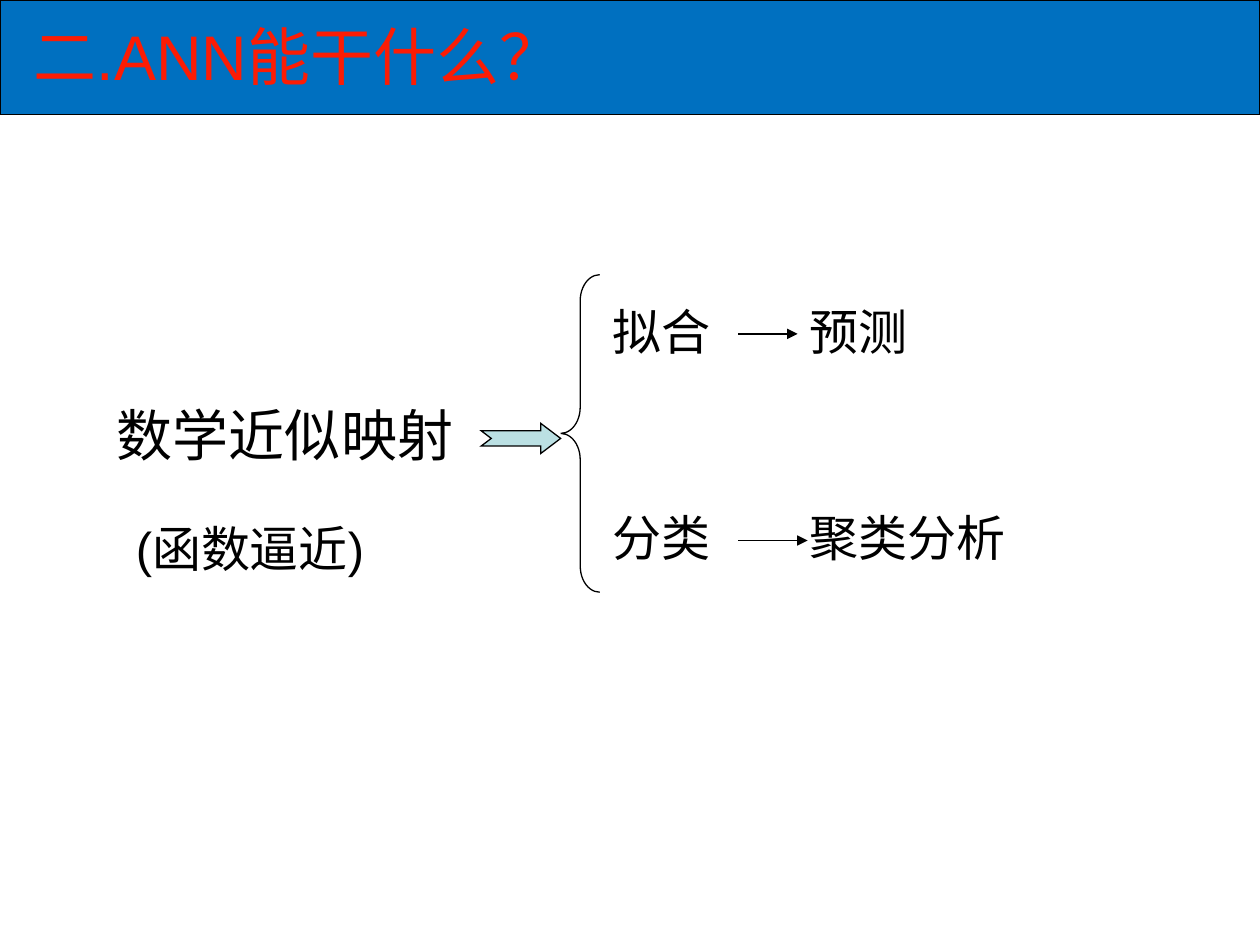
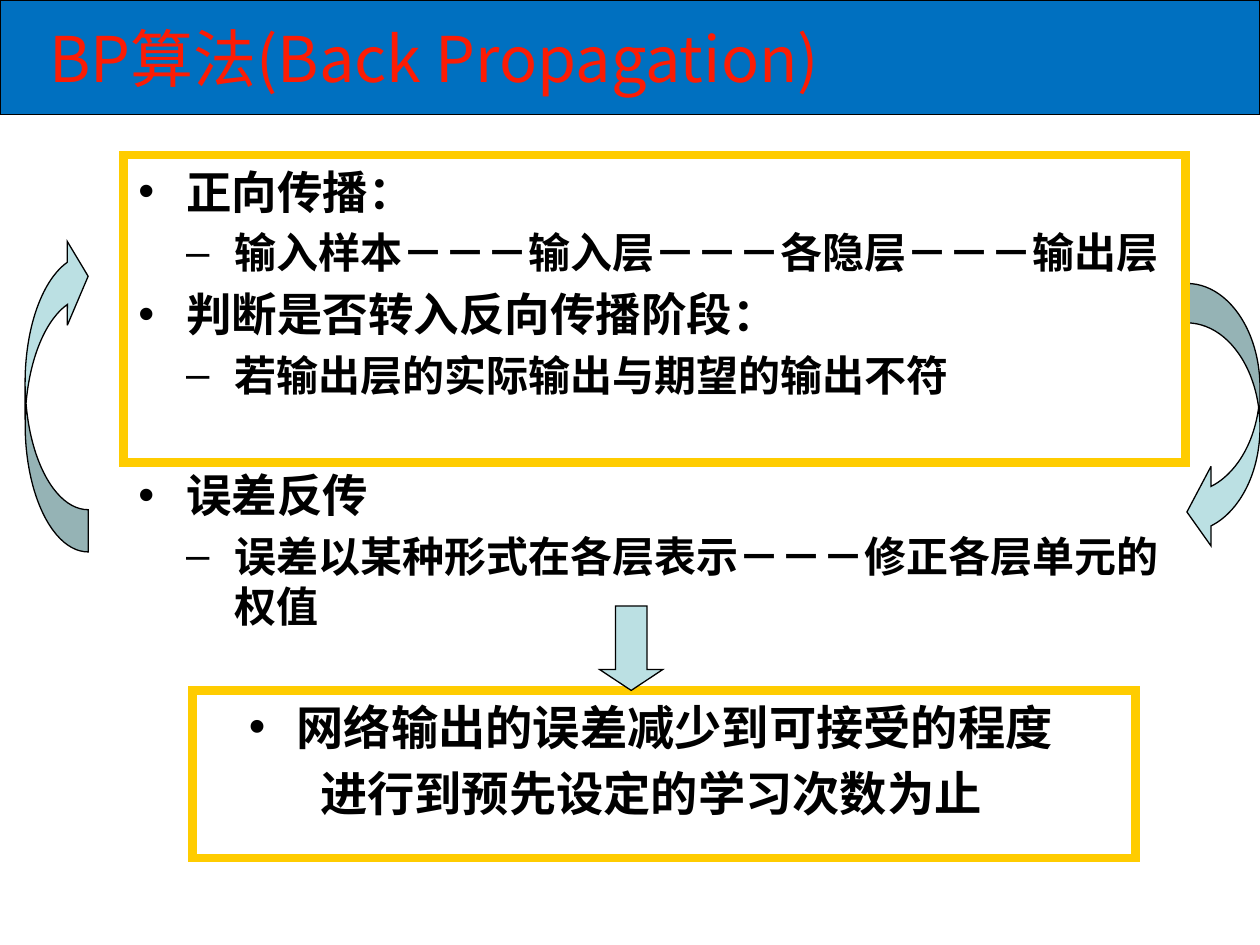
from lxml import etree
from pptx import Presentation, util as u
from pptx.dml.color import RGBColor
from pptx.enum import shapes as es, text as et
from pptx.oxml.ns import qn

COLORS = {"band": "0070C0", "title": "FC1C04", "ink": "000000",
          "arrow": "BBE0E3", "frame": "FFCC00"}
LATIN = "Arial"
CJK = "Noto Sans CJK SC"
INDENT = 0.38
SHAPE = es.MSO_SHAPE


def rgb(name):
    return RGBColor.from_string(COLORS[name])


def box_lengths(box):
    return [u.Inches(length) for length in box]


def add_outline(slide, kind, box, fill=None, line="ink", weight=0.75, adjust=()):
    outline = slide.shapes.add_shape(kind, *box_lengths(box))
    outline.shadow.inherit = False
    if fill:
        outline.fill.solid()
        outline.fill.fore_color.rgb = rgb(fill)
    else:
        outline.fill.background()
    outline.line.color.rgb = rgb(line)
    outline.line.width = u.Pt(weight)
    etree.SubElement(outline.line._get_or_add_ln(), qn("a:miter"), lim="800000")
    for index, value in enumerate(adjust):
        outline.adjustments[index] = value
    return outline


def add_frame(slide, box):
    add_outline(slide, SHAPE.RECTANGLE, box, line="frame", weight=5)


def style(paragraph, size, face, color="ink", bold=False):
    font = paragraph.font
    font.size, font.name, font.bold = u.Pt(size), face, bold
    font.color.rgb = rgb(color)
    defaults = paragraph._p.pPr.find(qn("a:defRPr"))
    etree.SubElement(defaults, qn("a:ea"), typeface=CJK)


def add_text(slide, box, words, size, face=LATIN, color="ink"):
    frame = slide.shapes.add_textbox(*box_lengths(box)).text_frame
    frame.word_wrap = True
    paragraph = frame.paragraphs[0]
    paragraph.text = words
    style(paragraph, size, face, color)
    return frame


def add_title_band(slide, words, box, face):
    add_outline(slide, SHAPE.RECTANGLE, (0, 0, 10, 0.91), fill="band")
    title = add_text(slide, box, words, 36, face, "title")
    title.vertical_anchor = et.MSO_ANCHOR.MIDDLE
    return title.paragraphs[0]


def add_use(slide, left, top, method, purpose, arrow_length):
    add_text(slide, (left, top, 1.1, 0.57), method, 28)
    add_text(slide, (left + 1.57, top, 2.3, 0.57), purpose, 28)
    start, y = u.Inches(left + 1.1), u.Inches(top + 0.31)
    arrow = slide.shapes.add_connector(
        es.MSO_CONNECTOR.STRAIGHT, start, y, start + u.Inches(arrow_length), y)
    arrow.line.color.rgb = rgb("ink")
    arrow.line.width = u.Pt(0.75)
    etree.SubElement(arrow.line._get_or_add_ln(), qn("a:tailEnd"), type="triangle")
    etree.SubElement(arrow._element.spPr, qn("a:effectLst"))


def add_outline_text(slide, box, items, align=None):
    frame = slide.shapes.add_textbox(*box_lengths(box)).text_frame
    frame.word_wrap = True
    for index, (level, bullet, size, words) in enumerate(items):
        paragraph = frame.add_paragraph() if index else frame.paragraphs[0]
        paragraph.text = words
        paragraph.level = level
        properties = paragraph._p.get_or_add_pPr()
        properties.set("marL", str(u.Inches(INDENT * (level + 1))))
        properties.set("indent", str(-u.Inches(INDENT)))
        if bullet:
            etree.SubElement(properties, qn("a:buFont"), typeface=LATIN)
            etree.SubElement(properties, qn("a:buChar"), char=bullet)
        else:
            etree.SubElement(properties, qn("a:buNone"))
        paragraph.space_before = u.Pt(size * 0.2 if index else 0)
        paragraph.alignment = align
        style(paragraph, size, CJK, bold=True)


def topic(words):
    return 0, "•", 26, words


def detail(words):
    return 1, "–", 24, words


def build_uses_slide(slide):
    title = add_title_band(slide, "二.ANN能干什么？", (0.17, -0.25, 6.82, 1.25), LATIN)
    title.line_spacing = 1.2
    add_text(slide, (0.83, 3.13, 2.91, 0.63), "数学近似映射", 32)
    add_text(slide, (0.98, 4.07, 3.31, 0.57), "(函数逼近)", 28)
    add_outline(slide, SHAPE.NOTCHED_RIGHT_ARROW, (3.82, 3.36, 0.63, 0.24),
                fill="arrow", adjust=(0.5, 0.66))
    add_outline(slide, SHAPE.LEFT_BRACE, (4.45, 2.18, 0.31, 2.52), adjust=(0.67, 0.5))
    add_use(slide, 4.76, 2.34, "拟合", "预测", 0.47)
    add_use(slide, 4.76, 3.98, "分类", "聚类分析", 0.55)


def build_algorithm_slide(slide):
    title = add_title_band(slide, "BP算法(Back Propagation)", (0, 0, 6.89, 0.91), CJK)
    title.alignment = et.PP_ALIGN.CENTER
    left, width = 1, 8.33
    add_outline_text(slide, (left, 1.25, width, 2.3), [
        topic("正向传播："),
        detail("输入样本－－－输入层－－－各隐层－－－输出层"),
        topic("判断是否转入反向传播阶段："),
        detail("若输出层的实际输出与期望的输出不符")])
    add_outline_text(slide, (left, 3.66, width, 1.4), [
        topic("误差反传"),
        detail("误差以某种形式在各层表示－－－修正各层单元的权值")])
    add_outline_text(slide, (left, 5.49, width, 1.1), [
        (0, "•", 27, "网络输出的误差减少到可接受的程度"),
        (0, None, 27, "进行到预先设定的学习次数为止")], et.PP_ALIGN.CENTER)
    add_outline(slide, SHAPE.CURVED_LEFT_ARROW, (9.42, 2.25, 0.58, 2.13),
                fill="arrow", adjust=(0.54, 1.09, 0.33))
    return_arrow = add_outline(slide, SHAPE.CURVED_RIGHT_ARROW, (0.2, 1.86, 0.5, 2.52),
                               fill="arrow", adjust=(0.67, 1.33, 0.33))
    return_arrow.rotation = 180
    return_arrow._element.spPr.xfrm.set("flipH", "1")
    add_frame(slide, (0.98, 1.23, 8.43, 2.44))
    add_frame(slide, (1.53, 5.48, 7.48, 1.33))
    add_outline(slide, SHAPE.DOWN_ARROW, (4.76, 4.81, 0.5, 0.67),
                fill="arrow", adjust=(0.5, 0.33))


def main():
    deck = Presentation()
    deck.slide_width, deck.slide_height = u.Inches(10), u.Inches(7.5)
    for build in (build_uses_slide, build_algorithm_slide):
        build(deck.slides.add_slide(deck.slide_layouts[6]))
    deck.save("out.pptx")


if __name__ == "__main__":
    main()
